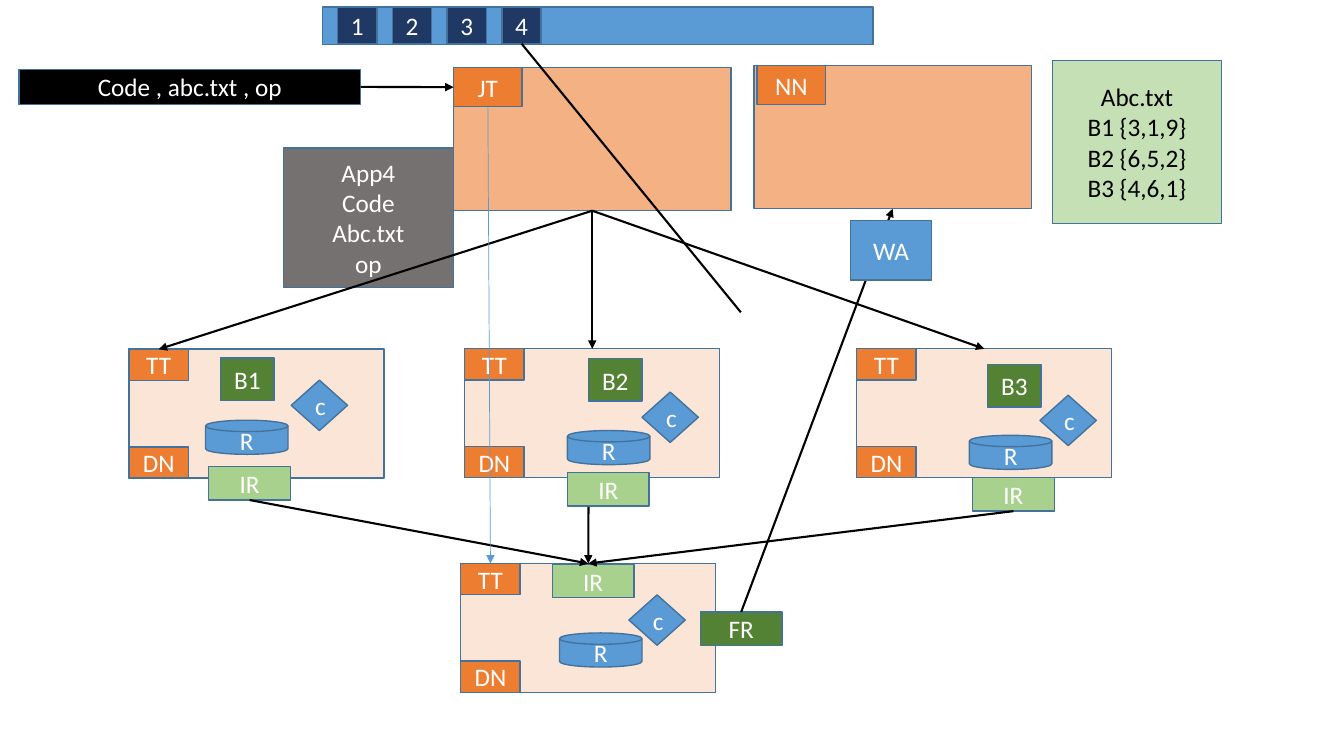
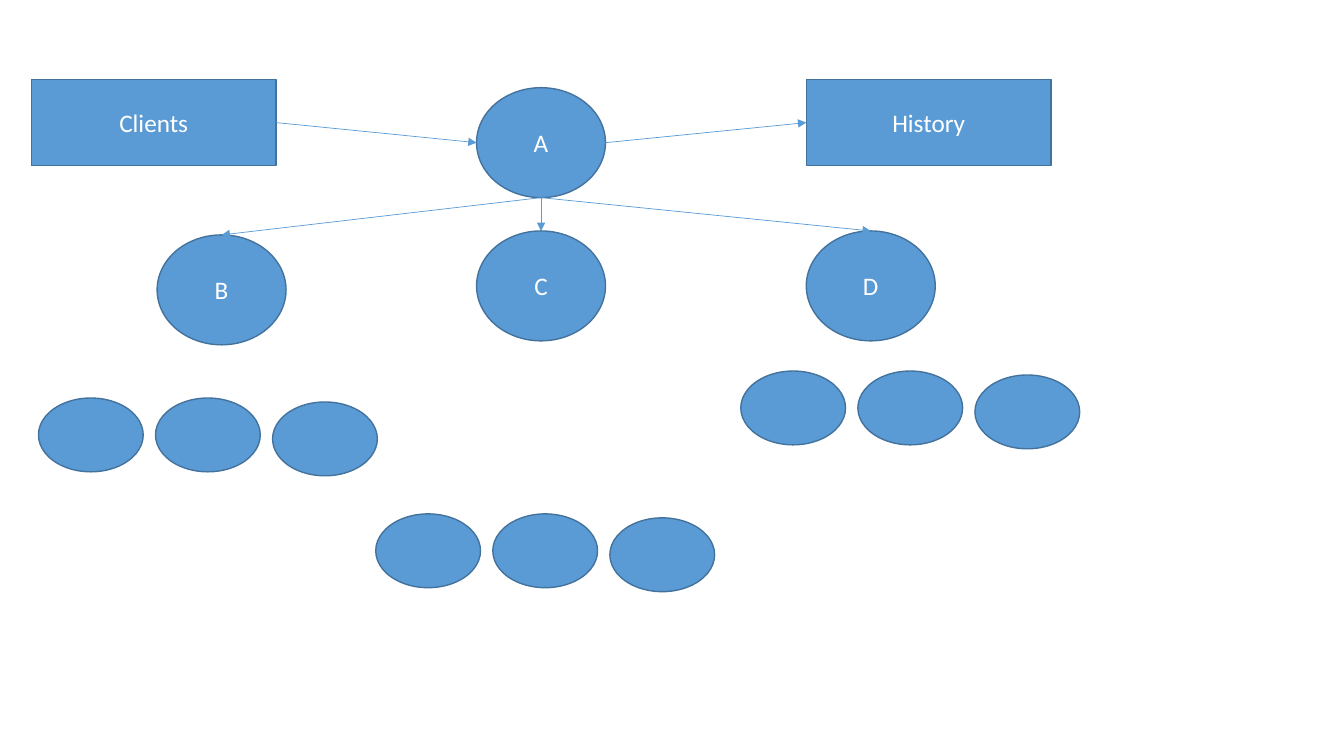
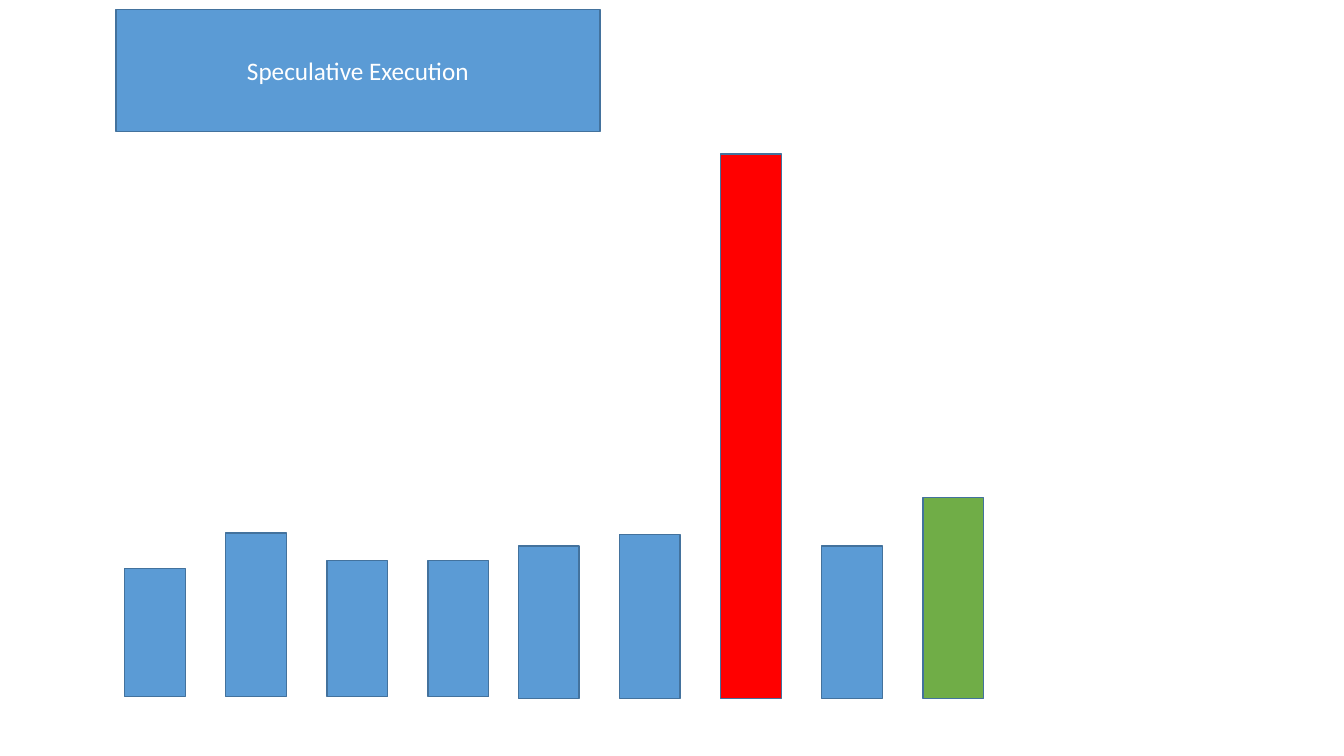
from lxml import etree
from pptx import Presentation
from pptx import util as u
from pptx.dml.color import RGBColor
from pptx.enum import shapes, text
from pptx.oxml import ns

FONT = "Calibri"
BLUE, OUTLINE, NAVY = "5B9BD5", "43729D", "203864"
ORANGE, PEACH, CREAM = "ED7D31", "F4B183", "FBE5D6"
GREEN, DARK_GREEN, LIGHT_GREEN, PALE_GREEN = "70AD47", "548235", "A9D18E", "C5E0B4"
GRAY, BLACK, WHITE, RED = "767171", "000000", "FFFFFF", "FF0000"

RECTANGLE = shapes.MSO_SHAPE.RECTANGLE
ELLIPSE = shapes.MSO_SHAPE.OVAL
DIAMOND = shapes.MSO_SHAPE.DIAMOND
DISK = shapes.MSO_SHAPE.FLOWCHART_MAGNETIC_DISK
TOP, LEFT, BOTTOM, RIGHT = range(4)

SERVER_SIZE = (6.99, 3.61)
SERVER_TAG_SIZE = (1.73, 0.99)
NODE_SIZE = (6.43, 3.25)
NODE_TAG_SIZE = (1.5, 0.79)
BLOCK_SIZE = (1.35, 1.07)
DIAMOND_SIZE = (1.42, 1.27)
DISK_SIZE = (2.08, 0.86)
RESULT_SIZE = (2.06, 0.84)


def color(value):
    return RGBColor.from_string(value)


def write(shape, content, size=18, font_color=WHITE):
    """Fill a shape with centred text, one paragraph per line."""
    frame = shape.text_frame
    frame.word_wrap = True
    frame.vertical_anchor = text.MSO_ANCHOR.MIDDLE
    for index, line in enumerate(content.split("\n")):
        paragraph = frame.add_paragraph() if index else frame.paragraphs[0]
        paragraph.alignment = text.PP_ALIGN.CENTER
        run = paragraph.add_run()
        run.text = line
        run.font.name = FONT
        run.font.size = u.Pt(size)
        run.font.color.rgb = color(font_color)


def side_point(shape, side):
    """Middle of one side of a shape's frame."""
    across, down = {TOP: (1, 0), LEFT: (0, 1), BOTTOM: (1, 2), RIGHT: (2, 1)}[side]
    return shape.left + shape.width * across // 2, shape.top + shape.height * down // 2


class Deck:
    def __init__(self):
        self.presentation = Presentation()
        self.presentation.slide_width = u.Cm(33.87)
        self.presentation.slide_height = u.Cm(19.05)
        self.slide = None

    def new_slide(self):
        self.slide = self.presentation.slides.add_slide(self.presentation.slide_layouts[6])

    def box(self, position, size, fill=BLUE, content="", kind=RECTANGLE, font_color=WHITE):
        frame = [u.Cm(length) for length in (*position, *size)]
        shape = self.slide.shapes.add_shape(kind, *frame)
        shape.shadow.inherit = False
        shape.fill.solid()
        shape.fill.fore_color.rgb = color(fill)
        shape.line.color.rgb = color(OUTLINE)
        shape.line.width = u.Pt(1)
        if content:
            write(shape, content, font_color=font_color)
        return shape

    def link(self, begin, end, line_color=BLACK, width=1.5, arrow=True):
        """Draw a line; each end is (shape, side) or a point in centimetres."""
        ends = [begin, end]
        joined = [not isinstance(item[0], (int, float)) for item in ends]
        points = [side_point(*item) if is_shape else (u.Cm(item[0]), u.Cm(item[1]))
                  for item, is_shape in zip(ends, joined)]
        line = self.slide.shapes.add_connector(
            shapes.MSO_CONNECTOR.STRAIGHT, *points[0], *points[1])
        for item, is_shape, connect in zip(ends, joined, (line.begin_connect, line.end_connect)):
            if is_shape and item[0].auto_shape_type == RECTANGLE:
                connect(*item)
        line.line.color.rgb = color(line_color)
        line.line.width = u.Pt(width)
        properties = line._element.spPr
        if arrow:
            outline = properties.find(ns.qn("a:ln"))
            etree.SubElement(outline, ns.qn("a:tailEnd"), type="triangle")
        etree.SubElement(properties, ns.qn("a:effectLst"))

    def server(self, position, tag_position, name):
        server = self.box(position, SERVER_SIZE, PEACH)
        return server, self.box(tag_position, SERVER_TAG_SIZE, ORANGE, name)

    def node(self, position, compute, disk, result):
        """Draw a worker node; return its frame, its TT tag and its IR box."""
        left, top = position
        frame = self.box(position, NODE_SIZE, CREAM)
        tracker = self.box(position, NODE_TAG_SIZE, ORANGE, "TT")
        self.box((left, top + NODE_SIZE[1] - NODE_TAG_SIZE[1]), NODE_TAG_SIZE, ORANGE, "DN")
        self.box(compute, DIAMOND_SIZE, BLUE, "c", DIAMOND)
        self.box(disk, DISK_SIZE, BLUE, "R", DISK)
        return frame, tracker, self.box(result, RESULT_SIZE, LIGHT_GREEN, "IR")


def job_flow(deck):
    deck.new_slide()
    job_server, job_tag = deck.server((11.43, 1.7), (11.43, 1.7), "JT")
    name_server, _ = deck.server((19, 1.65), (19.08, 1.65), "NN")

    request = deck.box((0.48, 1.75), (8.61, 0.88), BLACK, "Code , abc.txt , op")
    deck.link((request, RIGHT), (job_tag, LEFT))
    deck.box((8.13, 0.18), (13.87, 0.94))
    queue = [deck.box((8.51 + 1.38 * index, 0.19), (0.99, 0.91), NAVY, str(index + 1))
             for index in range(4)]
    deck.box((7.14, 3.73), (4.29, 3.51), GRAY, "App4\nCode\nAbc.txt\nop")
    deck.box((26.52, 1.52), (4.27, 4.11), PALE_GREEN,
             "Abc.txt\nB1 {3,1,9}\nB2 {6,5,2}\nB3 {4,6,1}", font_color=BLACK)

    first, second, third = [deck.node(*places) for places in (
        ((3.25, 8.8), (7.34, 9.58), (5.18, 10.59), (5.26, 11.76)),
        ((11.71, 8.79), (16.18, 9.88), (14.3, 10.85), (14.3, 11.91)),
        ((21.59, 8.79), (26.21, 9.96), (24.43, 10.97), (24.51, 12.04)))]
    for name, position in (("B1", (5.56, 9.02)), ("B2", (14.83, 9.04)), ("B3", (24.89, 9.19))):
        deck.box(position, BLOCK_SIZE, DARK_GREEN, name)
    reducer, reducer_tracker, _ = deck.node(
        (11.61, 14.2), (15.85, 14.99), (14.1, 15.95), (13.92, 14.22))

    for target in (first[1], second[0], third[0]):
        deck.link((job_server, BOTTOM), (target, TOP))
    for source in ((first[2], BOTTOM), (14.83, 12.77), (third[2], BOTTOM)):
        deck.link(source, (reducer, TOP))
    deck.link((job_tag, BOTTOM), (reducer_tracker, TOP), BLUE, 0.5)

    final_result = deck.box((17.65, 15.42), RESULT_SIZE, DARK_GREEN, "FR")
    deck.link((final_result, TOP), (name_server, BOTTOM))
    deck.box((21.44, 5.56), (2.03, 1.5), BLUE, "WA")
    deck.link((queue[3], BOTTOM), (18.67, 7.87), arrow=False)


def client_tree(deck):
    deck.new_slide()
    clients, history = [deck.box((left, 2.01), (6.17, 2.16), BLUE, name)
                        for name, left in (("Clients", 0.79), ("History", 20.32))]
    root, *children = [deck.box(position, (3.25, 2.77), BLUE, name, ELLIPSE)
                       for name, position in (("A", (12.01, 2.21)), ("B", (3.96, 5.92)),
                                              ("C", (12.01, 5.82)), ("D", (20.32, 5.82)))]
    deck.link((clients, RIGHT), (root, LEFT), BLUE, 0.5)
    deck.link((root, RIGHT), (history, LEFT), BLUE, 0.5)
    for child in children:
        deck.link((root, BOTTOM), (child, TOP), BLUE, 0.5)
    for left, top in ((0.97, 10.03), (9.47, 12.95), (18.67, 9.35)):
        for index, drop in enumerate((0, 0, 0.1)):
            deck.box((left + 2.95 * index, top + drop), (2.64, 1.86), kind=ELLIPSE)


def speculative_execution(deck):
    deck.new_slide()
    bar_groups = (
        (3.14, 17.56, ((3.24, BLUE), (4.13, BLUE), (3.43, BLUE), (3.43, BLUE))),
        (13.06, 17.6, ((3.84, BLUE), (4.13, BLUE), (13.72, RED), (3.84, BLUE), (5.06, GREEN))))
    for left, bottom, bars in bar_groups:
        for index, (height, fill) in enumerate(bars):
            deck.box((left + 2.55 * index, bottom - height), (1.53, height), fill)
    deck.box((2.92, 0.24), (12.2, 3.08), BLUE, "Speculative Execution")


def main():
    deck = Deck()
    job_flow(deck)
    client_tree(deck)
    speculative_execution(deck)
    deck.presentation.save("out.pptx")


if __name__ == "__main__":
    main()
